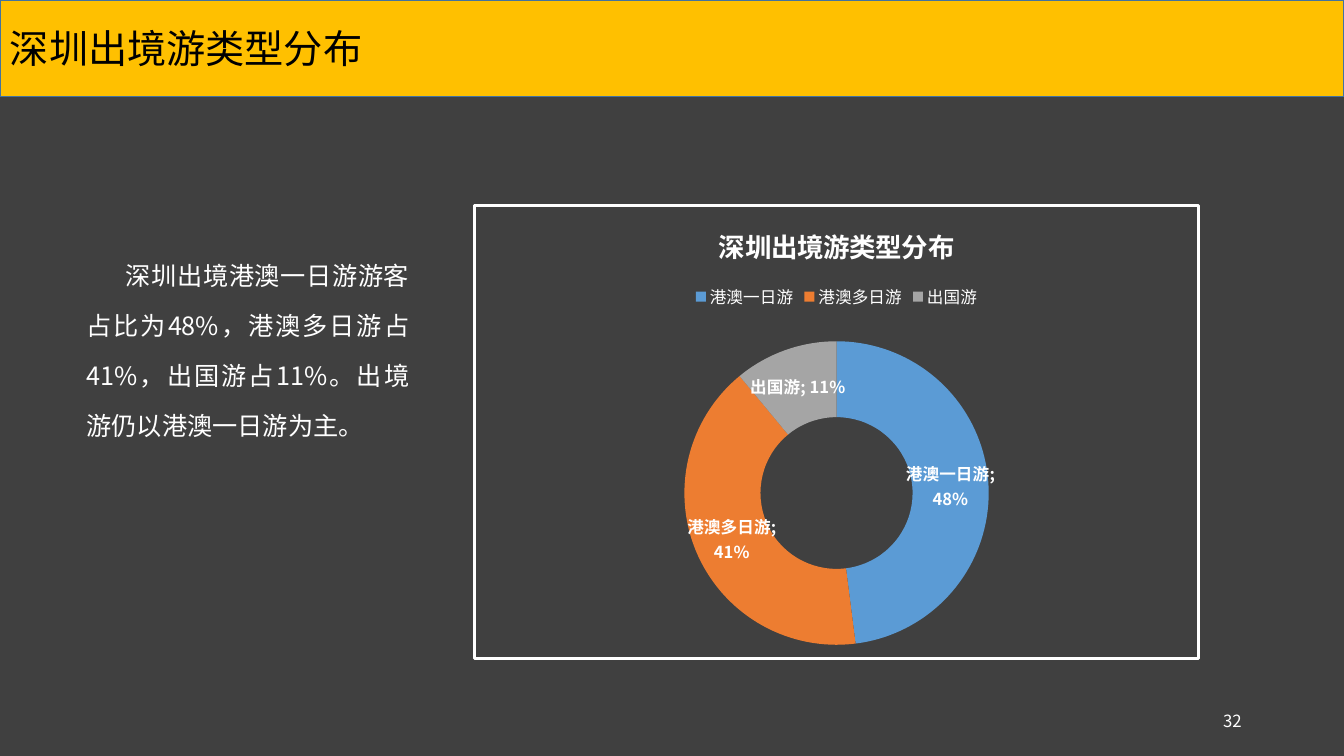
from typing import NamedTuple

from lxml.etree import SubElement
from pptx import Presentation
from pptx.chart.chart import Chart
from pptx.chart.data import CategoryChartData
from pptx.dml.color import RGBColor
from pptx.dml.fill import FillFormat
from pptx.enum.chart import XL_CHART_TYPE, XL_LEGEND_POSITION
from pptx.enum.shapes import MSO_SHAPE
from pptx.enum.text import MSO_ANCHOR, PP_ALIGN
from pptx.oxml import parse_xml
from pptx.oxml.ns import nsdecls, qn
from pptx.shapes.autoshape import Shape
from pptx.slide import Slide
from pptx.text.text import Font
from pptx.util import Pt

FACE = "Noto Sans CJK SC"
WHITE = "FFFFFF"
TITLE = "深圳出境游类型分布"


class Box(NamedTuple):
    left: float
    top: float
    width: float
    height: float

    def pts(self) -> list[Pt]:
        return [Pt(side) for side in self]


class Note(NamedTuple):
    box: Box
    text: str
    size: float
    align: PP_ALIGN
    anchor: MSO_ANCHOR
    color: str = WHITE
    space: float = 1
    indent: int = 0


class Part(NamedTuple):
    name: str
    share: float
    color: str


BANNER = Note(Box(0, 0, 960, 69), TITLE, 28,
              PP_ALIGN.LEFT, MSO_ANCHOR.MIDDLE, "000000")
NOTES = [
    Note(Box(54.7, 168, 244.8, 163),
         "深圳出境港澳一日游游客占比为48%，港澳多日游占41%，"
         "出国游占11%。出境游仍以港澳一日游为主。",
         18, PP_ALIGN.JUSTIFY, MSO_ANCHOR.TOP, space=1.66, indent=28),
    Note(Box(678, 500.4, 216, 28.8), "32", 12,
         PP_ALIGN.RIGHT, MSO_ANCHOR.MIDDLE),
]
FRAME = Box(337.7, 145.4, 519.8, 326.2)
PARTS = [
    Part("港澳一日游", 0.48, "5B9BD5"),
    Part("港澳多日游", 0.41, "ED7D31"),
    Part("出国游", 0.11, "A5A5A5"),
]


def paint(fill: FillFormat, color: str) -> None:
    fill.solid()
    fill.fore_color.rgb = RGBColor.from_string(color)


def style(font: Font, size: float, color: str = WHITE,
          bold: bool = False) -> None:
    font.size, font.bold, font.name = Pt(size), bold, FACE
    paint(font.fill, color)
    latin = font._rPr.find(qn("a:latin"))
    latin.addnext(parse_xml(f'<a:ea {nsdecls("a")} typeface="{FACE}"/>'))


def write(shape: Shape, note: Note) -> None:
    frame = shape.text_frame
    frame.word_wrap = True
    frame.vertical_anchor = note.anchor
    para = frame.paragraphs[0]
    para.text = note.text
    para.alignment = note.align
    para.line_spacing = note.space
    if note.indent:
        para._p.get_or_add_pPr().set("indent", str(Pt(note.indent)))
    style(para.font, note.size, note.color)


def add_banner(slide: Slide, note: Note) -> None:
    bar = slide.shapes.add_shape(MSO_SHAPE.RECTANGLE, *note.box.pts())
    bar.shadow.inherit = False
    paint(bar.fill, "FFC000")
    paint(bar.line.fill, "43739E")
    bar.line.width = Pt(1)
    write(bar, note)


def set_border(chart: Chart, color: str, width: float) -> None:
    body = chart._chartSpace.find(qn("c:chart"))
    body.addnext(parse_xml(
        f'<c:spPr {nsdecls("c", "a")}><a:noFill/><a:ln w="{Pt(width)}">'
        f'<a:solidFill><a:srgbClr val="{color}"/></a:solidFill>'
        '</a:ln></c:spPr>'))


def set_plot(chart: Chart, area: Box) -> None:
    """Place the ring; area holds fractions of the chart frame."""
    plot = chart._chartSpace.find(f'{qn("c:chart")}/{qn("c:plotArea")}')
    for old in plot.findall(qn("c:layout")):
        plot.remove(old)
    layout = parse_xml(f'<c:layout {nsdecls("c")}><c:manualLayout/></c:layout>')
    rules = [("layoutTarget", "inner"), ("xMode", "edge"), ("yMode", "edge")]
    for tag, value in rules + list(zip("xywh", area)):
        SubElement(layout[0], qn(f"c:{tag}")).set("val", str(value))
    plot.insert(0, layout)


def add_ring(slide: Slide, box: Box, parts: list[Part]) -> None:
    data = CategoryChartData(number_format="0%")
    data.categories = [part.name for part in parts]
    data.add_series("Series 1", [part.share for part in parts])
    chart = slide.shapes.add_chart(
        XL_CHART_TYPE.DOUGHNUT, *box.pts(), data).chart
    style(chart.font, 10)
    set_border(chart, WHITE, 2.25)
    set_plot(chart, Box(0.29, 0.3, 0.42, 0.67))

    chart.has_title = True
    head = chart.chart_title.text_frame.paragraphs[0]
    head.text = TITLE
    style(head.font, 19, bold=True)
    chart.chart_title.include_in_layout = False

    chart.has_legend = True
    chart.legend.position = XL_LEGEND_POSITION.TOP
    chart.legend.include_in_layout = False
    style(chart.legend.font, 11.9)

    ring = chart.plots[0]
    ring.vary_by_categories = True
    series = ring.series[0]
    for index, part in enumerate(parts):
        paint(series.points[index].format.fill, part.color)
    labels = series.data_labels
    labels.show_value = labels.show_category_name = True
    labels.number_format = "0%"
    labels.number_format_is_linked = False
    style(labels.font, 11.9, bold=True)
    last = labels._element.find(qn("c:showBubbleSize"))
    last.addnext(parse_xml(
        f'<c:separator {nsdecls("c")}>; </c:separator>'))


def main() -> None:
    deck = Presentation()
    deck.slide_width, deck.slide_height = Pt(960), Pt(540)
    slide = deck.slides.add_slide(deck.slide_layouts[6])
    paint(slide.background.fill, "404040")
    add_banner(slide, BANNER)
    add_ring(slide, FRAME, PARTS)
    for note in NOTES:
        write(slide.shapes.add_textbox(*note.box.pts()), note)
    deck.save("out.pptx")


if __name__ == "__main__":
    main()
